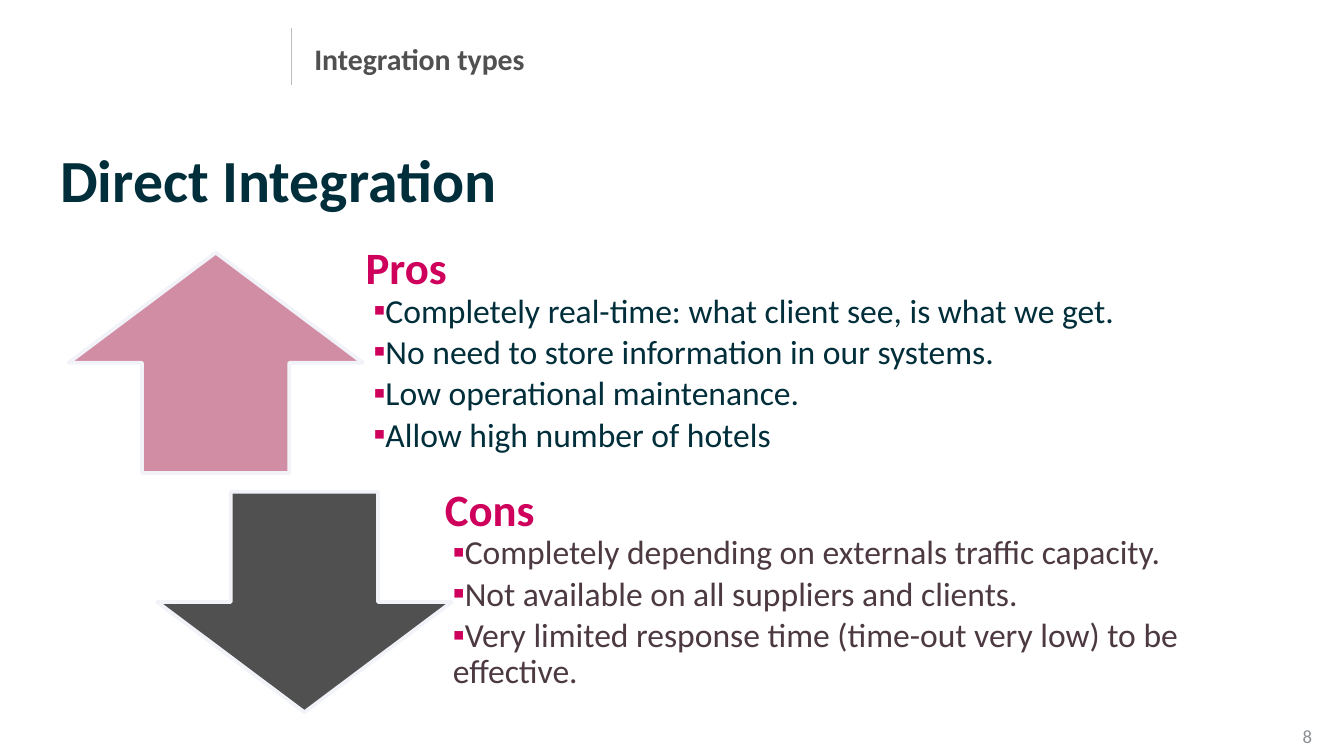
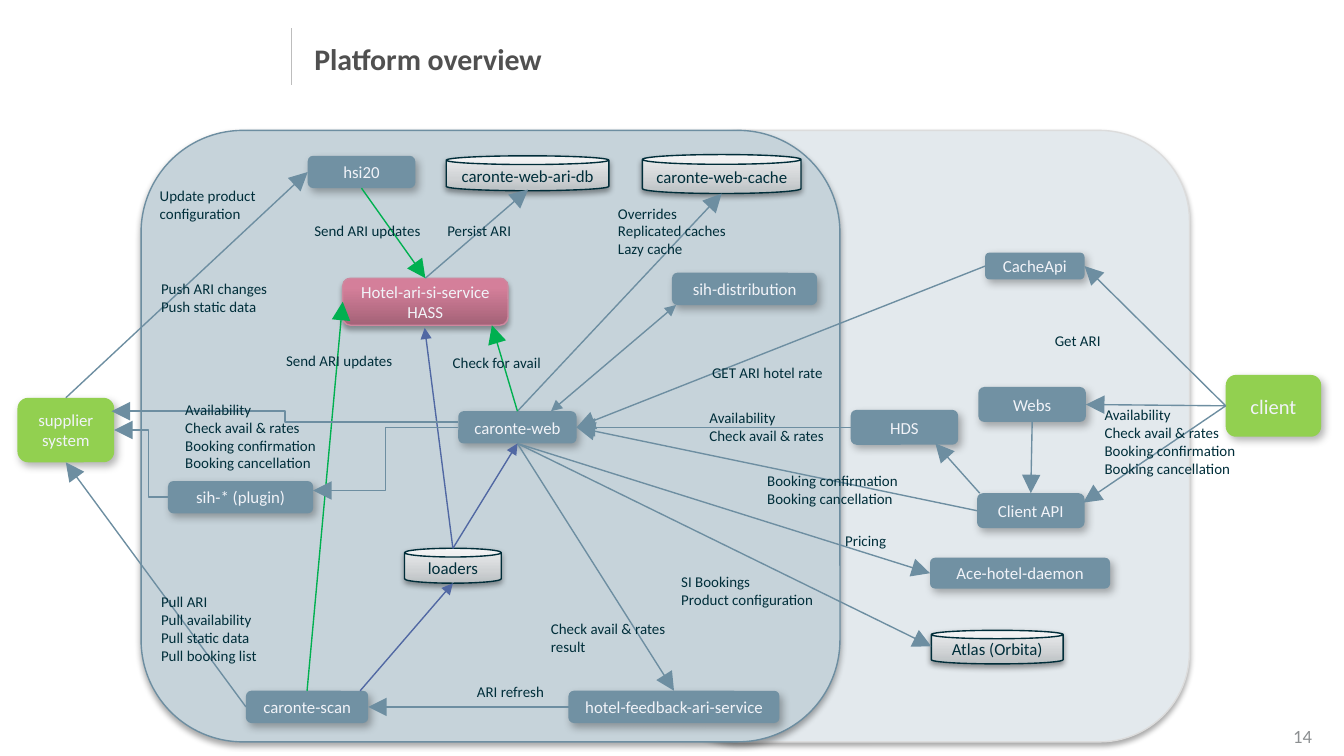
from lxml import etree
from pptx import Presentation
from pptx.dml.color import RGBColor
from pptx.enum.shapes import MSO_CONNECTOR, MSO_SHAPE
from pptx.enum.text import MSO_ANCHOR, MSO_AUTO_SIZE, PP_ALIGN
from pptx.oxml.ns import qn
from pptx.util import Inches, Pt

FONT = "Calibri"
COLORS = {
    "ink": "002E3A", "grey": "505050", "rule": "BDBDBD", "number": "8C8F91",
    "accent": "CE005C", "pro": "D18DA3", "con_text": "4C3942", "pale": "F1F3F8",
    "outer": "E3E9ED", "outer_line": "DCDCDC", "inner": "C6D3DA",
    "steel": "6D8EA1", "service": "7191A3", "external": "92D050",
    "can_line": "002D39", "hass_line": "CE889F", "blue": "5168A3",
    "green": "00B050", "black": "000000",
}
CAN_GRADIENT = [(0, "BABFC2"), (35, "CFD2D4"), (100, "EDEEEF")]
HASS_GRADIENT = [(0, "A46277"), (80, "D47F9A"), (100, "D77E9B")]
# Shadows: opacity in percent, blur and distance in points, angle in degrees
PANEL_SHADOW = (35, 3.1, 1.8, 90)
CAN_SHADOW = (38, 3.1, 1.6, 90)
BOX_SHADOW = (30, 4.5, 2.6, 53)

STRAIGHT, ELBOW = MSO_CONNECTOR.STRAIGHT, MSO_CONNECTOR.ELBOW
ROUNDED, CAN = MSO_SHAPE.ROUNDED_RECTANGLE, MSO_SHAPE.CAN
UP_ARROW, DOWN_ARROW = MSO_SHAPE.UP_ARROW, MSO_SHAPE.DOWN_ARROW
TOP_ANCHOR, MIDDLE = MSO_ANCHOR.TOP, MSO_ANCHOR.MIDDLE
ALIGN_LEFT, ALIGN_CENTER, ALIGN_RIGHT = PP_ALIGN.LEFT, PP_ALIGN.CENTER, PP_ALIGN.RIGHT
GROW = MSO_AUTO_SIZE.SHAPE_TO_FIT_TEXT
TOP, LEFT, BOTTOM, RIGHT = range(4)


def rgb(name):
    return RGBColor.from_string(COLORS[name])


def add_child(parent, tag, **attributes):
    return etree.SubElement(parent, qn(tag), {k: str(v) for k, v in attributes.items()})


def add_bullet(paragraph):
    properties = paragraph._p.get_or_add_pPr()
    properties.set("marL", str(Inches(0.06)))
    properties.set("indent", "0")
    color = add_child(properties, "a:buClr")
    add_child(color, "a:srgbClr", val=COLORS["accent"])
    add_child(properties, "a:buFont", typeface=FONT)
    add_child(properties, "a:buChar", char="▪")


def write(frame, text, size, color, bold=False, align=ALIGN_LEFT, anchor=TOP_ANCHOR,
          spacing=None, after=None, bullet=False, append=False):
    """Write each line of text as a paragraph of the frame."""
    frame.word_wrap = True
    frame.vertical_anchor = anchor
    for index, line in enumerate(text.split("\n")):
        paragraph = frame.add_paragraph() if append or index else frame.paragraphs[0]
        paragraph.alignment = align
        if spacing:
            paragraph.line_spacing = spacing
        if after:
            paragraph.space_after = after
        if bullet:
            paragraph.level = 1
            add_bullet(paragraph)
        run = paragraph.add_run()
        run.text = line
        run.font.name = FONT
        run.font.size = Pt(size)
        run.font.bold = bold
        run.font.color.rgb = rgb(color)


def add_frame(slide, left, top, width, height):
    return slide.shapes.add_textbox(
        Inches(left), Inches(top), Inches(width), Inches(height)).text_frame


def add_shape(slide, kind, box, fill, line=None, line_width=0.75, shadow=None):
    """Add a preset shape; fill is a colour name or a list of gradient stops."""
    shape = slide.shapes.add_shape(kind, *map(Inches, box))
    if isinstance(fill, str):
        shape.fill.solid()
        shape.fill.fore_color.rgb = rgb(fill)
    else:
        shape.fill.gradient()
        shape.fill.gradient_angle = 90
        stops = shape._element.spPr.find(".//" + qn("a:gsLst"))
        stops.clear()
        for position, color in fill:
            stop = add_child(stops, "a:gs", pos=position * 1000)
            add_child(stop, "a:srgbClr", val=color)
    if line:
        shape.line.color.rgb = rgb(line)
        shape.line.width = Pt(line_width)
    else:
        shape.line.fill.background()
    shape.shadow.inherit = False
    if shadow:
        opacity, blur, distance, angle = shadow
        effects = shape._element.spPr.find(qn("a:effectLst"))
        outer = add_child(effects, "a:outerShdw", blurRad=Pt(blur), dist=Pt(distance),
                          dir=angle * 60000, algn="ctr", rotWithShape=0)
        color = add_child(outer, "a:srgbClr", val=COLORS["black"])
        add_child(color, "a:alpha", val=opacity * 1000)
    return shape


def add_line(slide, start, end, color, kind=STRAIGHT, ends=(), size="lg", bend=None):
    """Add a line between two points, with arrowheads at the ends named."""
    connector = slide.shapes.add_connector(kind, *map(Inches, (*start, *end)))
    connector.line.color.rgb = rgb(color)
    connector.line.width = Pt(0.75)
    add_child(connector._element.spPr, "a:effectLst")
    for tag in ends:
        add_child(connector.line._ln, tag, type="triangle", w=size, len=size)
    if bend:
        guides = connector._element.spPr.find(".//" + qn("a:avLst"))
        add_child(guides, "a:gd", name="adj1", fmla=f"val {bend}")
    return connector


def add_base(presentation, title, number):
    """Start a slide with its title, rule and page number."""
    slide = presentation.slides.add_slide(presentation.slide_layouts[6])
    add_line(slide, (2.17, 0.21), (2.17, 0.63), "rule")
    write(add_frame(slide, 2.24, 0.06, 7.46, 0.79), title, 16, "grey",
          bold=True, anchor=MIDDLE, spacing=Pt(16.8))
    write(add_frame(slide, 8.86, 5.3, 1, 0.35), str(number), 10, "number",
          align=ALIGN_RIGHT, anchor=MIDDLE)
    return slide


def add_argument(slide, left, top, text_offset, text_width, kind, fill,
                 heading, points, color):
    """Arrow with a heading and a bullet list to its right."""
    height = 1.64
    add_shape(slide, kind, (left, top, 2.19, height), fill, "pale", 2)
    frame = add_frame(slide, left + text_offset, top, text_width, height)
    frame.margin_left = frame.margin_right = frame.margin_bottom = Inches(0.19)
    frame.margin_top = 0
    write(frame, heading, 24, "accent", bold=True, anchor=MIDDLE, spacing=0.9)
    write(frame, points, 18, color, anchor=MIDDLE, spacing=0.9, after=Pt(2.7),
          bullet=True, append=True)


def add_direct_integration(presentation):
    slide = add_base(presentation, "Integration types", 8)
    write(add_frame(slide, 0.35, 1.01, 8.58, 0.53), "Direct Integration", 32, "ink", bold=True)
    add_argument(slide, 0.51, 1.88, 2.02, 6.51, UP_ARROW, "pro", "Pros",
                 "Completely real-time: what client see, is what we get.\n"
                 "No need to store information in our systems.\n"
                 "Low operational maintenance.\n"
                 "Allow high number of hotels", "ink")
    add_argument(slide, 1.17, 3.66, 1.95, 5.98, DOWN_ARROW, "grey", "Cons",
                 "Completely depending on externals traffic capacity.\n"
                 "Not available on all suppliers and clients.\n"
                 "Very limited response time (time-out very low) to be effective.",
                 "con_text")


# Boxes: text, left, top, width, height
SERVICES = {
    "hsi": ("hsi20", 2.29, 1.16, 0.8, 0.24),
    "web": ("caronte-web", 3.41, 3.06, 0.88, 0.24),
    "scan": ("caronte-scan", 1.83, 5.14, 0.91, 0.24),
    "client_api": ("Client API", 7.27, 3.67, 0.8, 0.26),
    "cache_api": ("CacheApi", 7.33, 1.88, 0.74, 0.2),
    "daemon": ("Ace-hotel-daemon", 6.92, 4.15, 1.34, 0.23),
    "feedback": ("hotel-feedback-ari-service", 4.23, 5.14, 1.57, 0.24),
    "webs": ("Webs", 7.28, 2.88, 0.8, 0.26),
    "distribution": ("sih-distribution", 5, 2.03, 1.08, 0.24),
    "plugin": ("sih-* (plugin)", 1.25, 3.58, 1.08, 0.24),
    "hds": ("HDS", 6.33, 3.05, 0.8, 0.26),
}
EXTERNALS = {
    "supplier": ("supplier system", 0.13, 2.96, 0.72, 0.48),
    "client": ("client", 9.12, 2.79, 0.71, 0.46),
}
STORES = [
    ("caronte-web-cache", 4.78, 1.15, 1.18, 0.29),
    ("caronte-web-ari-db", 3.32, 1.16, 1.21, 0.26),
    ("Atlas (Orbita)", 6.93, 4.69, 0.98, 0.25),
    ("loaders", 3.01, 4.08, 0.72, 0.26),
]
# Arrows: each end is a point or a box with one of its sides
LINKS = {
    "steel": [
        (("supplier", TOP), ("hsi", LEFT)),
        (("scan", LEFT), ("supplier", BOTTOM)),
        (("hds", LEFT), ("web", RIGHT)),
        (("client", LEFT), (8.06, 3.74)),
        (("hass", TOP), (3.93, 1.41)),
        (("web", TOP), (5.37, 1.44)),
        (("web", BOTTOM), (6.93, 4.81)),
        (("cache_api", LEFT), ("web", RIGHT)),
        (("web", BOTTOM), ("daemon", LEFT)),
        (("client", LEFT), ("cache_api", RIGHT)),
        (("web", BOTTOM), ("feedback", TOP)),
        (("feedback", LEFT), ("scan", RIGHT)),
        (("client", LEFT), ("webs", RIGHT)),
        (("webs", BOTTOM), ("client_api", TOP)),
        ((7.29, 3.67), (6.96, 3.3)),
        (("client_api", LEFT), ("web", RIGHT)),
    ],
    "green": [
        (("hsi", BOTTOM), ("hass", TOP)),
        (("scan", TOP), ("hass", LEFT)),
        (("web", TOP), (3.66, 2.42)),
    ],
    "blue": [
        ((2.68, 5.14), (3.37, 4.34)),
        ((3.37, 4.08), ("web", BOTTOM)),
        ((3.37, 4.08), (3.16, 2.44)),
    ],
}
ELBOWS = [
    ((3.41, 3.14), (0.83, 3.06), 50000),
    (("web", LEFT), (2.33, 3.65), 50000),
    (("plugin", LEFT), ("supplier", RIGHT), 36200),
]
BOOKING = "Booking confirmation\nBooking cancellation"
AVAILABILITY = "Availability\nCheck avail & rates"
# Labels: text, left, top, width, height
LABELS = [
    ("Push ARI changes\nPush static data", 1.1, 2.03, 1.73, 0.37),
    ("Pull ARI\nPull availability\nPull static data\nPull booking list", 1.1, 4.36, 1.73, 0.64),
    ("Send ARI updates", 2.03, 2.57, 1.12, 0.24),
    ("Send ARI updates", 2.24, 1.6, 1.76, 0.24),
    ("Persist ARI", 3.23, 1.6, 0.77, 0.24),
    ("Overrides\nReplicated caches\nLazy cache", 4.5, 1.47, 1.76, 0.5),
    (AVAILABILITY + "\n" + BOOKING, 1.28, 2.93, 1.3, 0.82),
    (AVAILABILITY, 5.18, 2.99, 1.32, 0.56),
    (AVAILABILITY + "\n" + BOOKING, 8.12, 2.97, 1.21, 0.64),
    ("SI Bookings\nProduct configuration", 4.97, 4.21, 2.29, 0.37),
    ("GET ARI hotel rate", 5.2, 2.66, 1.37, 0.24),
    ("Pricing", 6.19, 3.91, 0.7, 0.24),
    ("Get ARI", 7.75, 2.42, 0.63, 0.42),
    ("Check avail & rates result", 4, 4.56, 1.12, 0.37),
    ("ARI refresh", 3.45, 5.03, 0.77, 0.24),
    ("Update product configuration", 1.09, 1.34, 1.16, 0.37),
    ("Check for avail", 3.27, 2.58, 0.9, 0.24),
    (BOOKING, 5.61, 3.46, 1.32, 0.37),
]


def add_diagram(slide, left, top):
    """Platform map whose coordinates count from the given corner."""
    boxes = {}

    def place(box):
        return (left + box[0], top + box[1], *box[2:])

    def add_box(kind, text, *box, fill="service", line=None, shadow=BOX_SHADOW,
                color="pale", size=9):
        shape = add_shape(slide, kind, place(box), fill, line, shadow=shadow)
        write(shape.text_frame, text, size, color, align=ALIGN_CENTER, anchor=MIDDLE)
        return shape

    def link(start, end, color, **look):
        joined = [isinstance(point[0], str) for point in (start, end)]
        points = [(0, 0) if glued else place(point)
                  for glued, point in zip(joined, (start, end))]
        connector = add_line(slide, *points, color, **look)
        if joined[0]:
            connector.begin_connect(boxes[start[0]], start[1])
        if joined[1]:
            connector.end_connect(boxes[end[0]], end[1])

    # Background panels
    for box, fill, line in (((4.84, 0.97, 4.01, 4.55), "outer", "outer_line"),
                            ((1.05, 0.97, 5.2, 4.55), "inner", "steel")):
        add_shape(slide, ROUNDED, place(box), fill, line, shadow=PANEL_SHADOW)

    # Services, outside systems and stores
    for name, box in SERVICES.items():
        boxes[name] = add_box(ROUNDED, *box)
    for name, box in EXTERNALS.items():
        boxes[name] = add_box(ROUNDED, *box, fill="external",
                              size=11 if name == "client" else 9)
    boxes["hass"] = add_box(ROUNDED, "Hotel-ari-si-service\nHASS", 2.55, 2.07, 1.23, 0.35,
                            fill=HASS_GRADIENT, line="hass_line", shadow=PANEL_SHADOW)
    for store in STORES:
        add_box(CAN, *store, fill=CAN_GRADIENT, line="can_line", shadow=CAN_SHADOW, color="ink")

    # Arrows
    for color, pairs in LINKS.items():
        for start, end in pairs:
            link(start, end, color, ends=["a:tailEnd"], size="med" if color == "blue" else "lg")
    link((5.03, 2.27), (4.1, 3.06), "steel", ends=["a:headEnd", "a:tailEnd"], size="med")
    for start, end, bend in ELBOWS:
        link(start, end, "steel", kind=ELBOW, ends=["a:tailEnd"], bend=bend)

    # Labels
    for text, *box in LABELS:
        frame = add_frame(slide, *place(box))
        write(frame, text, 8, "ink")
        frame.auto_size = GROW


def main():
    presentation = Presentation()
    presentation.slide_width = Inches(10)
    presentation.slide_height = presentation.slide_width * 9 // 16
    add_direct_integration(presentation)
    add_diagram(add_base(presentation, "Platform overview", 14), 0, 0)
    presentation.save("out.pptx")


if __name__ == "__main__":
    main()
